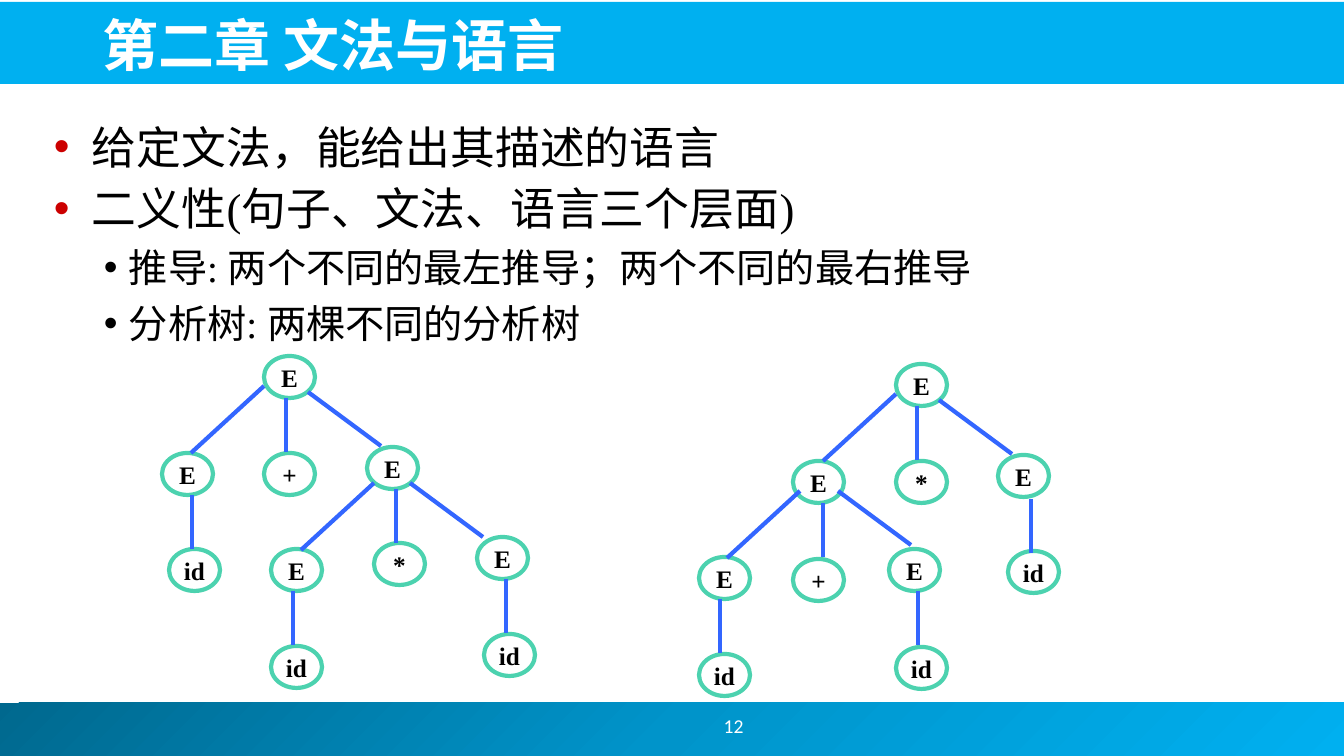
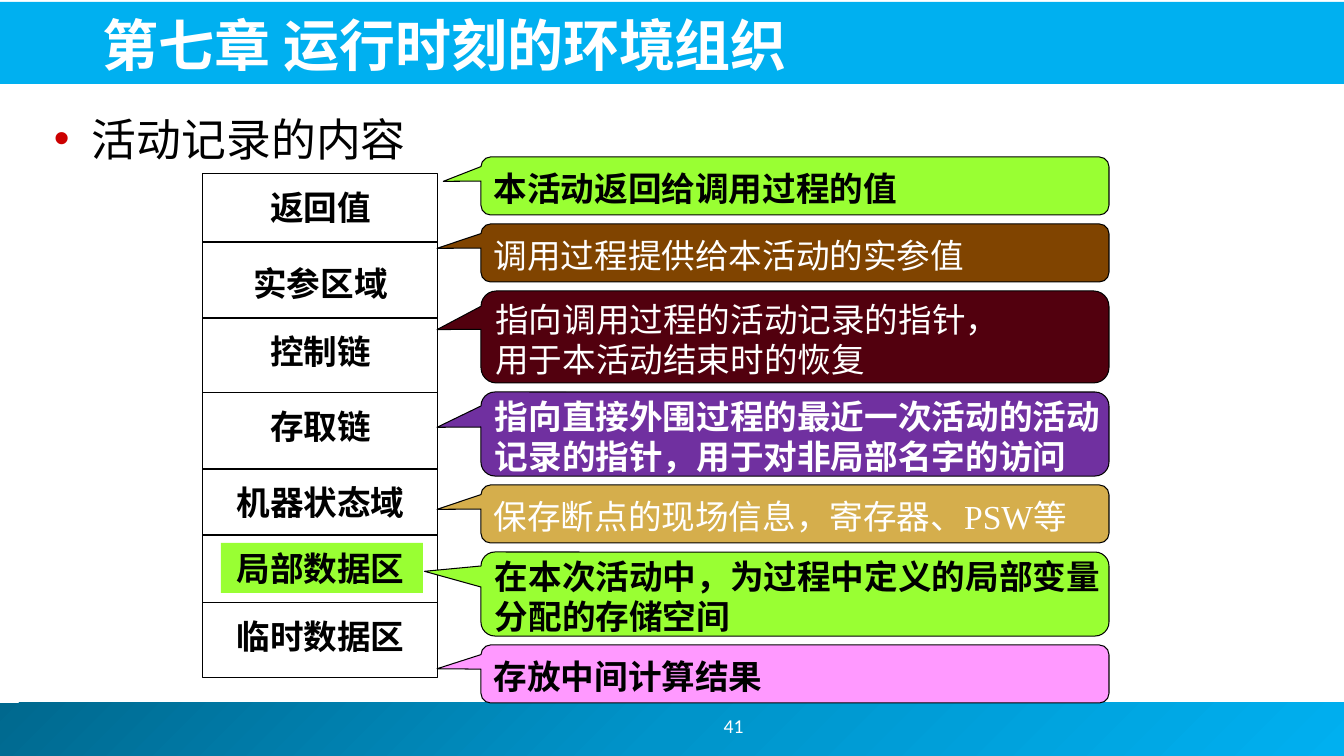
from copy import deepcopy

from lxml import etree
from pptx import Presentation
from pptx.dml.color import RGBColor
from pptx.enum.shapes import MSO_CONNECTOR, MSO_SHAPE
from pptx.enum.text import MSO_ANCHOR, PP_ALIGN
from pptx.oxml.ns import qn
from pptx.util import Emu, Pt

RECT, OVAL = MSO_SHAPE.RECTANGLE, MSO_SHAPE.OVAL
CALLOUT = MSO_SHAPE.ROUNDED_RECTANGULAR_CALLOUT
STRAIGHT = MSO_CONNECTOR.STRAIGHT
MIDDLE, TOP = MSO_ANCHOR.MIDDLE, MSO_ANCHOR.TOP
LEFT, CENTER = PP_ALIGN.LEFT, PP_ALIGN.CENTER

SLIDE_W, SLIDE_H = 1344, 756
SCALE = 12192000 / SLIDE_W
SERIF, SANS, CJK = "Times New Roman", "Calibri", "Noto Sans CJK JP"
COLORS = {
    "white": "FFFFFF", "black": "000000", "band": "00B0F0",
    "band dark": "00688E", "band mid": "0094CA", "bullet": "CC0000",
    "node": "4CD2AF", "branch": "3366FF", "lime": "99FF33",
    "brown": "804400", "maroon": "52000E", "purple": "7030A0",
    "gold": "D5AE4C", "pink": "FF99FF",
}
FOOTER_STOPS = [(0, "band dark"), (0.5, "band mid"), (1, "band")]

# Bullet levels: size, line height (pt), left margin, hang (px), bullet colour
LEVELS = [(32, 38, 38, 38, "bullet"), (28, 34, 75, 25, "black")]

GRAMMAR = {
    "title": "第二章 文法与语言", "page": "12", "body": (44, 115, 1254, 548),
    "points": [
        (0, "给定文法，能给出其描述的语言"),
        (0, "二义性(句子、文法、语言三个层面)"),
        (1, "推导: 两个不同的最左推导；两个不同的最右推导"),
        (1, "分析树: 两棵不同的分析树"),
    ],
}
RUNTIME = {
    "title": "第七章 运行时刻的环境组织", "page": "41", "body": (44, 107, 1254, 87),
    "points": [(0, "活动记录的内容")],
}

# Parse trees: symbol, x, y, branches as (direction, start offset in the node)
NODE_W, NODE_H = 51, 42
BRANCHES = {"left": (-73, 67), "down": (0, 54), "right": (73, 54)}
TREES = [
    [
        ("E", 264, 356, [("left", 0, 30), ("down", 22, 42), ("right", 44, 36)]),
        ("E", 162, 453, [("down", 30, 42)]),
        ("+", 264, 453, []),
        ("E", 367, 447, [("left", 7, 36), ("down", 29, 42), ("right", 43, 36)]),
        ("id", 169, 549, []),
        ("E", 271, 549, [("down", 22, 42)]),
        ("*", 374, 543, []),
        ("E", 477, 537, [("down", 29, 42)]),
        ("id", 271, 646, []),
        ("id", 484, 634, []),
    ],
    [
        ("E", 896, 364, [("left", 0, 30), ("down", 21, 42), ("right", 43, 36)]),
        ("E", 793, 461, [("left", 7, 30), ("down", 30, 42), ("right", 45, 30)]),
        ("*", 896, 461, []),
        ("E", 998, 455, [("down", 33, 44)]),
        ("id", 1008, 551, []),
        ("E", 699, 557, [("down", 21, 42)]),
        ("+", 793, 559, []),
        ("E", 889, 549, [("down", 29, 42)]),
        ("id", 699, 654, []),
        ("id", 896, 647, []),
    ],
]

# Activation record: field, row height, label offset from the row top
RECORD_X, RECORD_Y, RECORD_W, LABEL_H = 203, 174, 235, 50
FIELDS = [
    ("返回值", 68, 8), ("实参区域", 76, 16), ("控制链", 75, 8),
    ("存取链", 76, 8), ("机器状态域", 66, 8), ("局部数据区", 68, 8),
    ("临时数据区", 75, 8),
]
HIGHLIGHTED, HIGHLIGHT_X, HIGHLIGHT_W = "局部数据区", 221, 202

# Explanations: lines, height, fill, text colour, bold, tip position
NOTE_X, NOTE_Y, NOTE_W, NOTE_GAP = 481, 157, 628, 9
NOTES = [
    (["本活动返回给调用过程的值"], 58, "lime", "black", True, (-0.56, -0.08)),
    (["调用过程提供给本活动的实参值"], 58, "brown", "white", False, (-0.57, -0.08)),
    (["指向调用过程的活动记录的指针，", "用于本活动结束时的恢复"],
     92, "maroon", "white", False, (-0.57, -0.08)),
    (["指向直接外围过程的最近一次活动的活动", "记录的指针，用于对非局部名字的访问"],
     84, "purple", "white", True, (-0.57, -0.08)),
    (["保存断点的现场信息，寄存器、PSW等"], 58, "gold", "white", False, (-0.57, -0.08)),
    (["在本次活动中，为过程中定义的局部变量", "分配的存储空间"],
     84, "lime", "black", True, (-0.59, -0.27)),
    (["存放中间计算结果"], 58, "pink", "black", True, (-0.57, -0.09)),
]


def px(value):
    return Emu(round(value * SCALE))


def rgb(name):
    return RGBColor.from_string(COLORS[name])


def style(paragraph, size, color="black", bold=False, font=SERIF, align=LEFT):
    paragraph.alignment = align
    face = paragraph.font
    face.name, face.size, face.bold = font, Pt(size), bold
    face.color.rgb = rgb(color)
    latin = paragraph._p.pPr.find(qn("a:defRPr")).find(qn("a:latin"))
    east_asian = etree.Element(qn("a:ea"), typeface=CJK)
    latin.addnext(east_asian)


def add_shape(shapes, kind, box, fill=None, line=None, width=0.75):
    shape = shapes.add_shape(kind, *map(px, box))
    shape.shadow.inherit = False
    if fill:
        shape.fill.solid()
        shape.fill.fore_color.rgb = rgb(fill)
    else:
        shape.fill.background()
    if line:
        shape.line.color.rgb = rgb(line)
        shape.line.width = Pt(width)
    else:
        shape.line.fill.background()
    return shape


def add_line(shapes, x1, y1, x2, y2, color, width):
    line = shapes.add_connector(STRAIGHT, *map(px, (x1, y1, x2, y2)))
    line.line.color.rgb = rgb(color)
    line.line.width = Pt(width)
    etree.SubElement(line._element.spPr, qn("a:effectLst"))


def add_text(slide, box, text, anchor=MIDDLE, **font):
    frame = slide.shapes.add_textbox(*map(px, box)).text_frame
    frame.word_wrap, frame.vertical_anchor = True, anchor
    frame.text = text
    for paragraph in frame.paragraphs:
        style(paragraph, **font)
    return frame


def add_points(slide, box, points):
    frame = add_text(slide, box, "\n".join(text for _, text in points), TOP, size=32)
    for paragraph, (level, _) in zip(frame.paragraphs, points):
        size, line_height, margin, hang, bullet = LEVELS[level]
        paragraph.level = level
        paragraph.font.size = Pt(size)
        paragraph.line_spacing = Pt(line_height)
        paragraph.space_before, paragraph.space_after = Pt(0), Pt(6)
        properties = paragraph._p.pPr
        properties.set("marL", str(px(margin)))
        properties.set("indent", str(px(-hang)))
        bullet_color = etree.Element(qn("a:buClr"))
        etree.SubElement(bullet_color, qn("a:srgbClr"), val=COLORS[bullet])
        bullet_font = etree.Element(qn("a:buFont"), typeface="Arial")
        bullet_char = etree.Element(qn("a:buChar"), char="•")
        run_defaults = properties.find(qn("a:defRPr"))
        for part in (bullet_color, bullet_font, bullet_char):
            run_defaults.addprevious(part)


def add_base_slide(deck, content):
    """Bands, title, page number and bullet points shared by all slides."""
    slide = deck.slides.add_slide(deck.slide_layouts[6])
    footer = add_shape(slide.shapes, RECT, (-5, 703, 1350, 53))
    footer.fill.gradient()
    footer.fill.gradient_angle = 315
    stops = footer._element.spPr.find(".//" + qn("a:gsLst"))
    stops.insert(1, deepcopy(stops[0]))
    for stop, (position, color) in zip(footer.fill.gradient_stops, FOOTER_STOPS):
        stop.position = position
        stop.color.rgb = rgb(color)
    add_shape(slide.shapes, RECT, (-2, 2, 1347, 82), "band")
    add_points(slide, content["body"], content["points"])
    add_text(slide, (588, 701, 291, 50), content["page"],
             size=14, color="white", font=SANS, align=CENTER)
    add_text(slide, (93, 5, 1207, 79), content["title"],
             size=40, color="white", bold=True, font=CJK)
    return slide


def add_tree(slide, nodes):
    shapes = slide.shapes.add_group_shape().shapes
    for symbol, x, y, _ in nodes:
        node = add_shape(shapes, OVAL, (x, y, NODE_W, NODE_H), line="node", width=3)
        frame = node.text_frame
        frame.word_wrap, frame.vertical_anchor = False, MIDDLE
        frame.text = symbol
        style(frame.paragraphs[0], 18, bold=True, align=CENTER)
    for _, x, y, branches in nodes:
        for direction, dx, dy in branches:
            run, drop = BRANCHES[direction]
            add_line(shapes, x + dx, y + dy, x + dx + run, y + dy + drop, "branch", 3)


def add_record(slide):
    # Frame, row lines and field labels
    height = sum(row_height for _, row_height, _ in FIELDS)
    frame = slide.shapes.add_group_shape().shapes
    add_shape(frame, RECT, (RECORD_X, RECORD_Y, RECORD_W, height), line="black")
    y = RECORD_Y
    for field, row_height, offset in FIELDS:
        if y > RECORD_Y:
            add_line(frame, RECORD_X, y, RECORD_X + RECORD_W, y, "black", 0.75)
        if field == HIGHLIGHTED:
            add_shape(slide.shapes, RECT,
                      (HIGHLIGHT_X, y + offset, HIGHLIGHT_W, LABEL_H), "lime")
        add_text(slide, (RECORD_X, y + offset, RECORD_W, LABEL_H), field,
                 size=24, bold=True, align=CENTER)
        y += row_height


def add_notes(slide):
    y = NOTE_Y
    for lines, height, fill, color, bold, tip in NOTES:
        note = add_shape(slide.shapes, CALLOUT, (NOTE_X, y, NOTE_W, height), fill, "black")
        note.adjustments[0], note.adjustments[1] = tip
        frame = note.text_frame
        frame.word_wrap, frame.vertical_anchor = True, MIDDLE
        frame.margin_top, frame.margin_bottom, frame.margin_right = px(5), 0, 0
        frame.text = "\n".join(lines)
        for paragraph in frame.paragraphs:
            style(paragraph, 24, color, bold)
            paragraph.line_spacing = Pt(28.5)
        y += height + NOTE_GAP


def main():
    deck = Presentation()
    deck.slide_width, deck.slide_height = px(SLIDE_W), px(SLIDE_H)

    grammar = add_base_slide(deck, GRAMMAR)
    for nodes in TREES:
        add_tree(grammar, nodes)

    runtime = add_base_slide(deck, RUNTIME)
    add_record(runtime)
    add_notes(runtime)

    deck.save("out.pptx")


if __name__ == "__main__":
    main()
